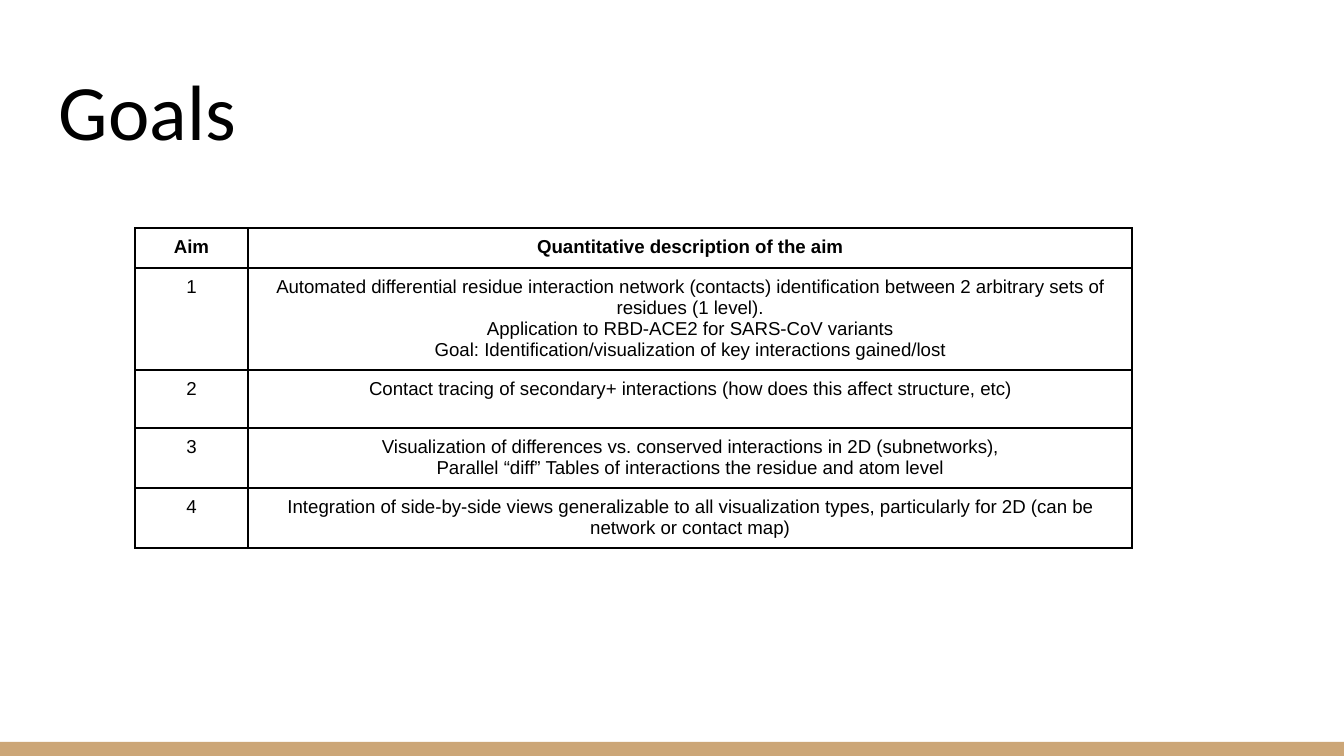
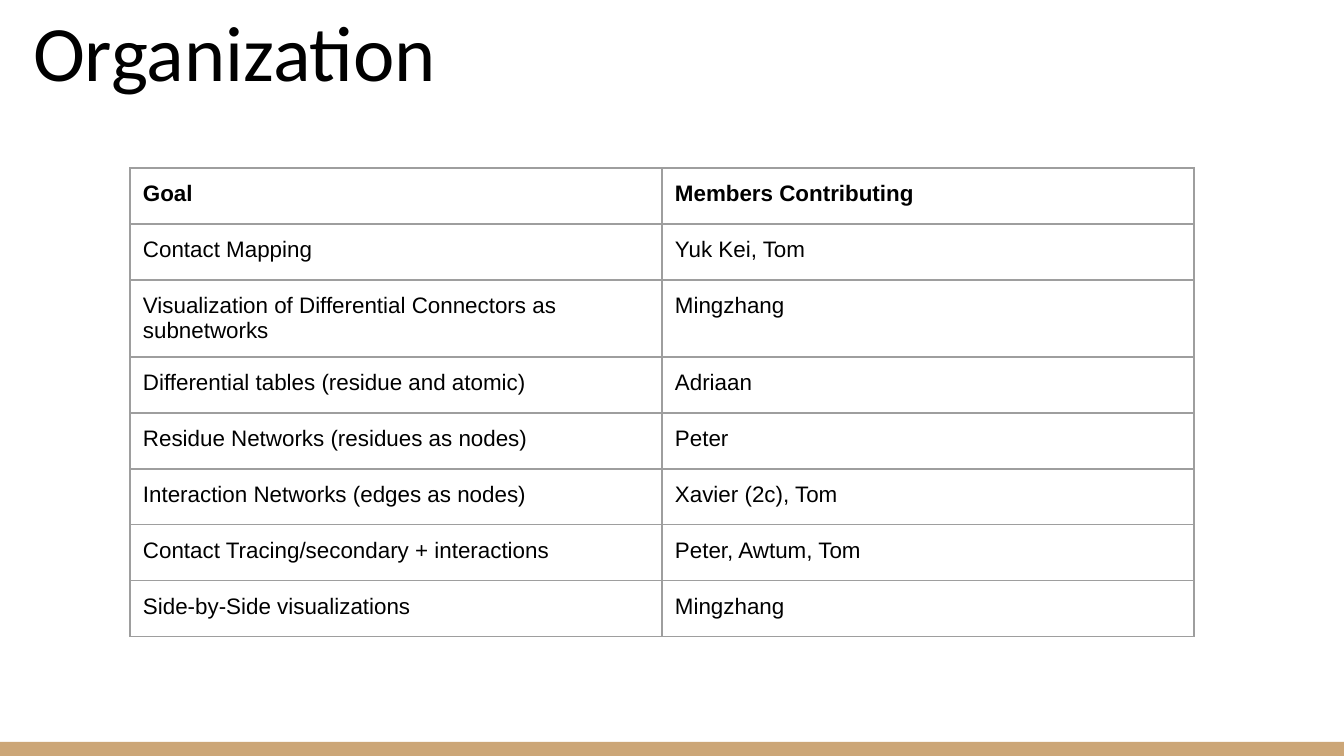
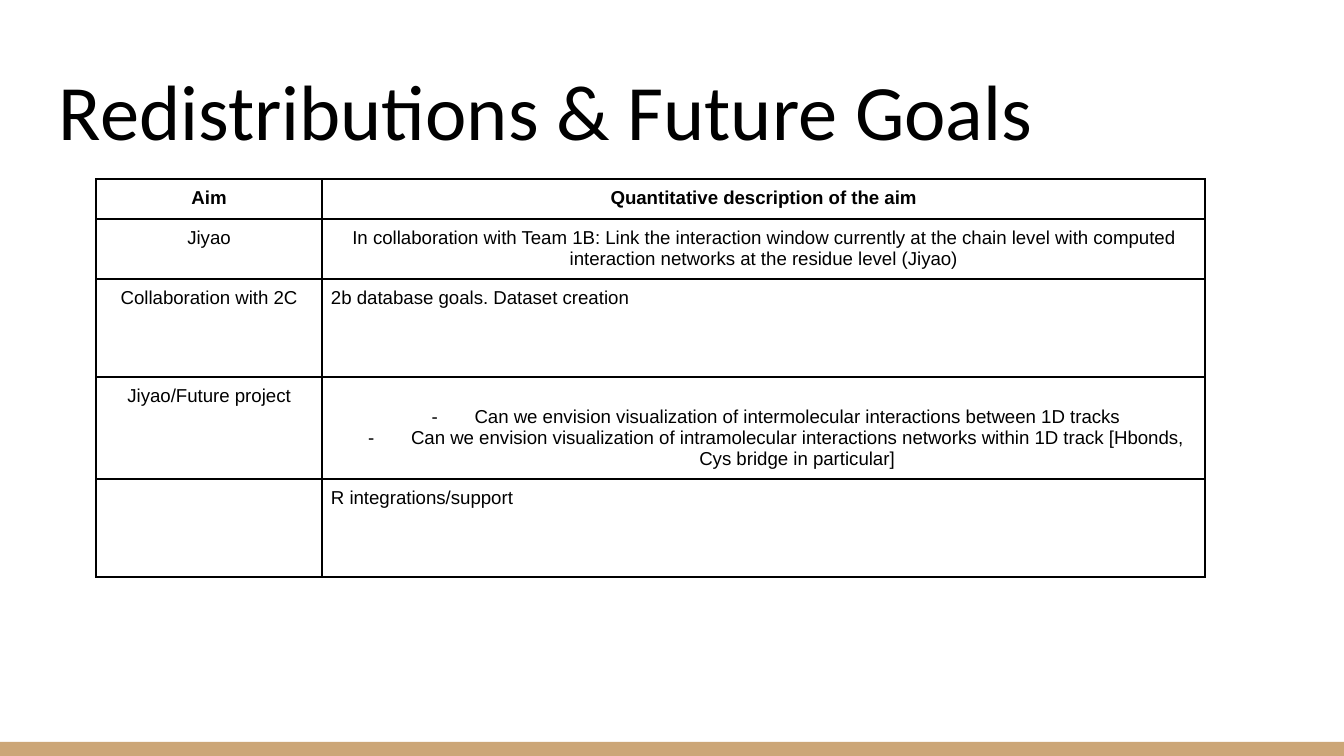
"""Build three project slides: goals, organization and future goals."""
import dataclasses

import lxml.etree
import pptx
import pptx.dml.color
import pptx.enum.shapes
import pptx.enum.text
import pptx.oxml.ns
import pptx.util


@dataclasses.dataclass(frozen=True)
class Theme:
    ink: str = "000000"
    grey: str = "9E9E9E"
    band: str = "CCA677"
    title_font: str = "Calibri"
    table_font: str = "Arial"
    title_size: int = 42
    small_size: int = 10
    table_size: int = 12


theme = Theme()
qn = pptx.oxml.ns.qn
align = pptx.enum.text.PP_ALIGN
SLIDE_WIDTH, SLIDE_HEIGHT = 1344, 756
BAND_HEIGHT = 14
TITLE_INSET = 13
LINE_HEIGHT = 21
BULLET_LEFT, BULLET_HANG = 67, 43


def px(length):
    return pptx.util.Emu(round(length * 914400 / 134.4))


def add_span(para, text, font, size, bold=False):
    span = para.add_run()
    span.text = text
    span.font.name = font
    span.font.size = pptx.util.Pt(size)
    span.font.bold = bold
    span.font.color.rgb = pptx.dml.color.RGBColor.from_string(theme.ink)


aims_style = dict(size=theme.small_size, margin=9, align=align.CENTER, line=theme.ink, line_width=1)
members_style = dict(size=theme.table_size, margin=13, align=align.LEFT, line=theme.grey, line_width=0.75)
high_title = (46, 47, 1252, 122)
low_title = (20, 25, 1252, 85)

pages = [
    dict(
        title="Goals", title_box=high_title, style=aims_style, origin=(135, 228),
        columns=[113, 884], rows=[40, 102, 58, 60, 60], left=[], bullets=[],
        cells=[
            ("Aim", "Quantitative description of the aim"),
            ("1", "Automated differential residue interaction network (contacts) identification "
                  "between 2 arbitrary sets of residues (1 level).\n"
                  "Application to RBD-ACE2 for SARS-CoV variants\n"
                  "Goal: Identification/visualization of key interactions gained/lost"),
            ("2", "Contact tracing of secondary+ interactions (how does this affect structure, etc)"),
            ("3", "Visualization of differences vs. conserved interactions in 2D (subnetworks),\n"
                  "Parallel “diff” Tables of interactions the residue and atom level"),
            ("4", "Integration of side-by-side views generalizable to all visualization types, "
                  "particularly for 2D (can be network or contact map)"),
        ],
    ),
    dict(
        title="Organization", title_box=low_title, style=members_style, origin=(130, 168),
        columns=[532, 532], rows=[56, 56, 77] + [56] * 5, left=[], bullets=[],
        cells=[
            ("Goal", "Members Contributing"),
            ("Contact Mapping", "Yuk Kei, Tom"),
            ("Visualization of Differential Connectors as subnetworks", "Mingzhang"),
            ("Differential tables (residue and atomic)", "Adriaan"),
            ("Residue Networks (residues as nodes)", "Peter"),
            ("Interaction Networks (edges as nodes)", "Xavier (2c), Tom"),
            ("Contact Tracing/secondary + interactions", "Peter, Awtum, Tom"),
            ("Side-by-Side visualizations", "Mingzhang"),
        ],
    ),
    dict(
        title="Redistributions & Future Goals", title_box=high_title, style=aims_style, origin=(96, 179),
        columns=[226, 883], rows=[40, 60, 98, 102, 98], left=[(2, 1), (4, 1)], bullets=[(3, 1)],
        cells=[
            ("Aim", "Quantitative description of the aim"),
            ("Jiyao", "In collaboration with Team 1B: Link the interaction window currently at the "
                      "chain level with computed interaction networks at the residue level (Jiyao)"),
            ("Collaboration with 2C", "2b database goals. Dataset creation"),
            ("Jiyao/Future project",
             "Can we envision visualization of intermolecular interactions between 1D tracks\n"
             "Can we envision visualization of intramolecular interactions networks within "
             "1D track [Hbonds, Cys bridge in particular]"),
            ("", "R integrations/support"),
        ],
    ),
]

deck = pptx.Presentation()
deck.slide_width, deck.slide_height = px(SLIDE_WIDTH), px(SLIDE_HEIGHT)
layout = deck.slide_layouts[5]
for placeholder in list(layout.placeholders):
    if placeholder.placeholder_format.idx != 0:
        layout.shapes.element.remove(placeholder.element)

for number, page in enumerate(pages):
    slide = deck.slides.add_slide(layout)
    if number == 0:
        band = slide.shapes.add_shape(
            pptx.enum.shapes.MSO_SHAPE.RECTANGLE,
            0, px(SLIDE_HEIGHT - BAND_HEIGHT), px(SLIDE_WIDTH), px(BAND_HEIGHT))
        band.shadow.inherit = False
        band.fill.solid()
        band.fill.fore_color.rgb = pptx.dml.color.RGBColor.from_string(theme.band)
        band.line.fill.background()
        layout.shapes.element.append(band.element)

    title = slide.shapes.title
    title.left, title.top, title.width, title.height = map(px, page["title_box"])
    box = title.text_frame
    box.word_wrap = True
    box.auto_size = pptx.enum.text.MSO_AUTO_SIZE.NONE
    box.vertical_anchor = pptx.enum.text.MSO_ANCHOR.BOTTOM
    box.margin_left = box.margin_right = box.margin_top = box.margin_bottom = px(TITLE_INSET)
    box.paragraphs[0].alignment = align.LEFT
    add_span(box.paragraphs[0], page["title"], theme.title_font, theme.title_size)

    style, columns, rows = page["style"], page["columns"], page["rows"]
    left, top = page["origin"]
    table = slide.shapes.add_table(
        len(rows), len(columns), px(left), px(top), px(sum(columns)), px(sum(rows))).table
    table.first_row = table.horz_banding = False
    for column, width in zip(table.columns, columns):
        column.width = px(width)
    for row, height in zip(table.rows, rows):
        row.height = px(height)

    for row_index, texts in enumerate(page["cells"]):
        for column_index, text in enumerate(texts):
            place = (row_index, column_index)
            cell = table.cell(*place)
            bulleted = place in page["bullets"]
            cell.margin_left = cell.margin_right = cell.margin_bottom = px(style["margin"])
            cell.margin_top = px(style["margin"] + LINE_HEIGHT * bulleted)
            properties = cell._tc.get_or_add_tcPr()
            for side in ("a:lnL", "a:lnR", "a:lnT", "a:lnB"):
                border = lxml.etree.SubElement(
                    properties, qn(side), w=str(pptx.util.Pt(style["line_width"])))
                fill = lxml.etree.SubElement(border, qn("a:solidFill"))
                lxml.etree.SubElement(fill, qn("a:srgbClr"), val=style["line"])
            cell.fill.background()
            if not text:
                continue
            for line_index, line in enumerate(text.split("\n")):
                frame = cell.text_frame
                para = frame.add_paragraph() if line_index else frame.paragraphs[0]
                para.alignment = align.LEFT if place in page["left"] else style["align"]
                add_span(para, line, theme.table_font, style["size"], bold=row_index == 0)
                if bulleted:
                    bullet = para._p.get_or_add_pPr()
                    bullet.set("marL", str(px(BULLET_LEFT)))
                    bullet.set("indent", str(-px(BULLET_HANG)))
                    colour = lxml.etree.SubElement(bullet, qn("a:buClr"))
                    lxml.etree.SubElement(colour, qn("a:srgbClr"), val=theme.ink)
                    lxml.etree.SubElement(bullet, qn("a:buFont"), typeface=theme.table_font)
                    lxml.etree.SubElement(bullet, qn("a:buChar"), char="-")

deck.save("out.pptx")
